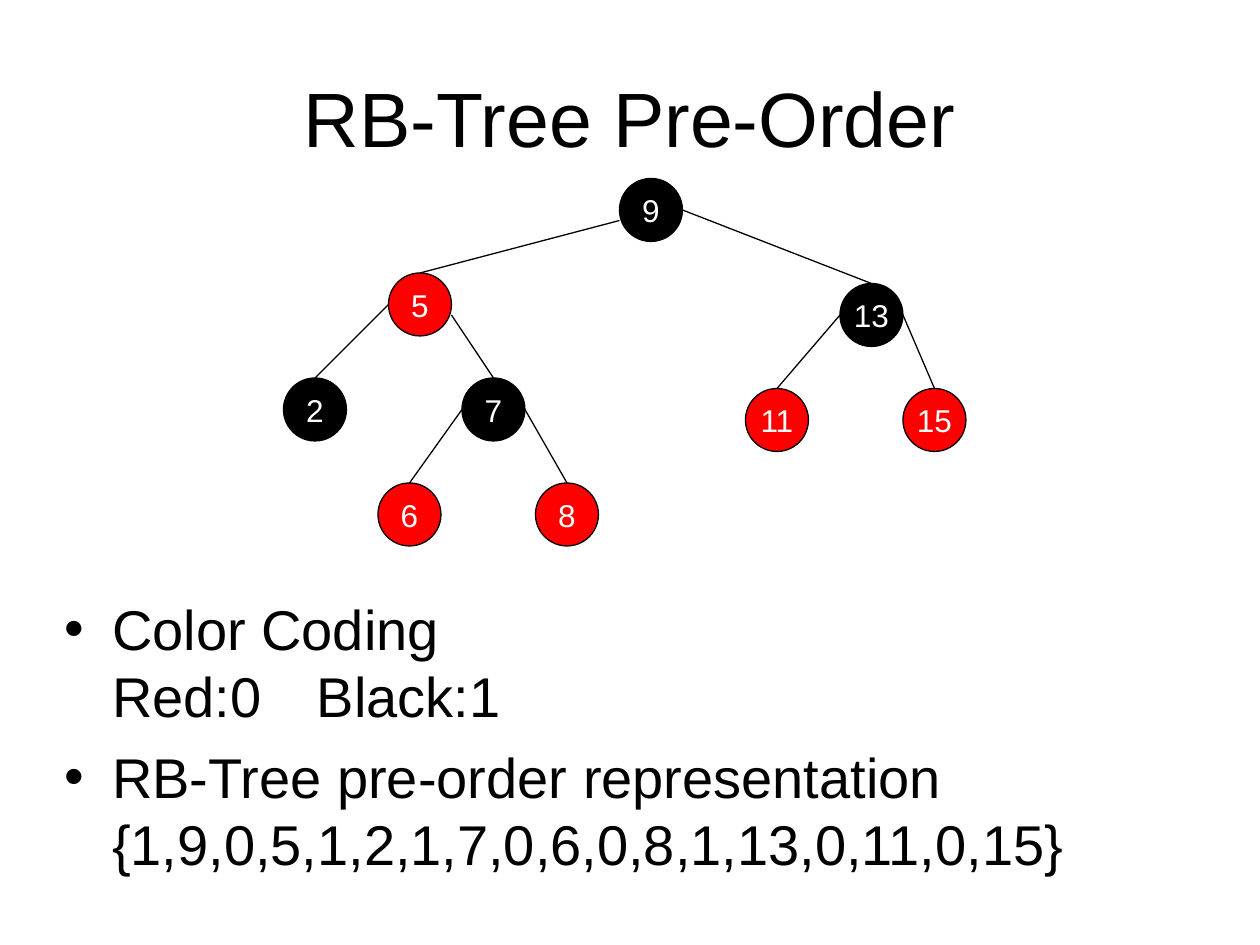
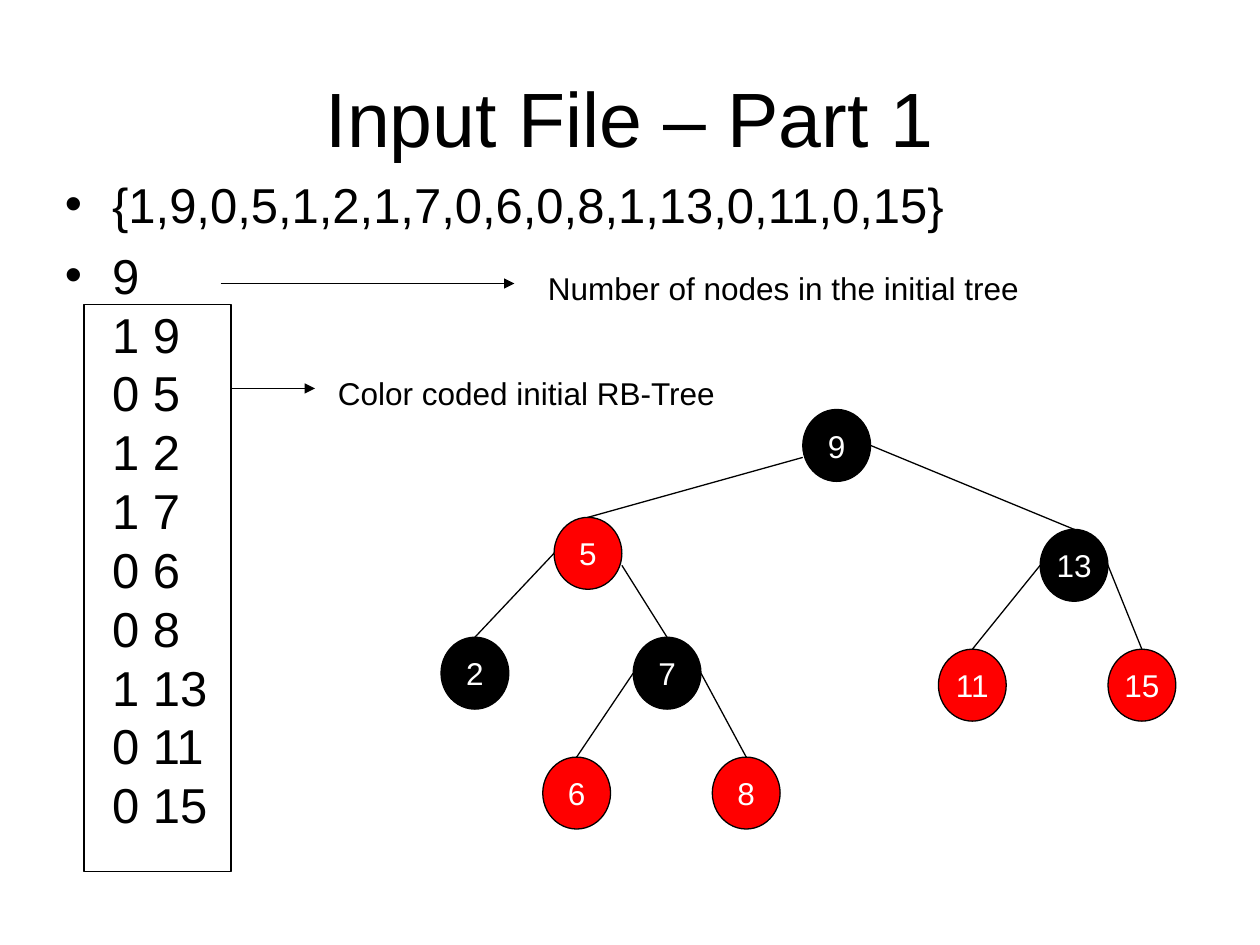
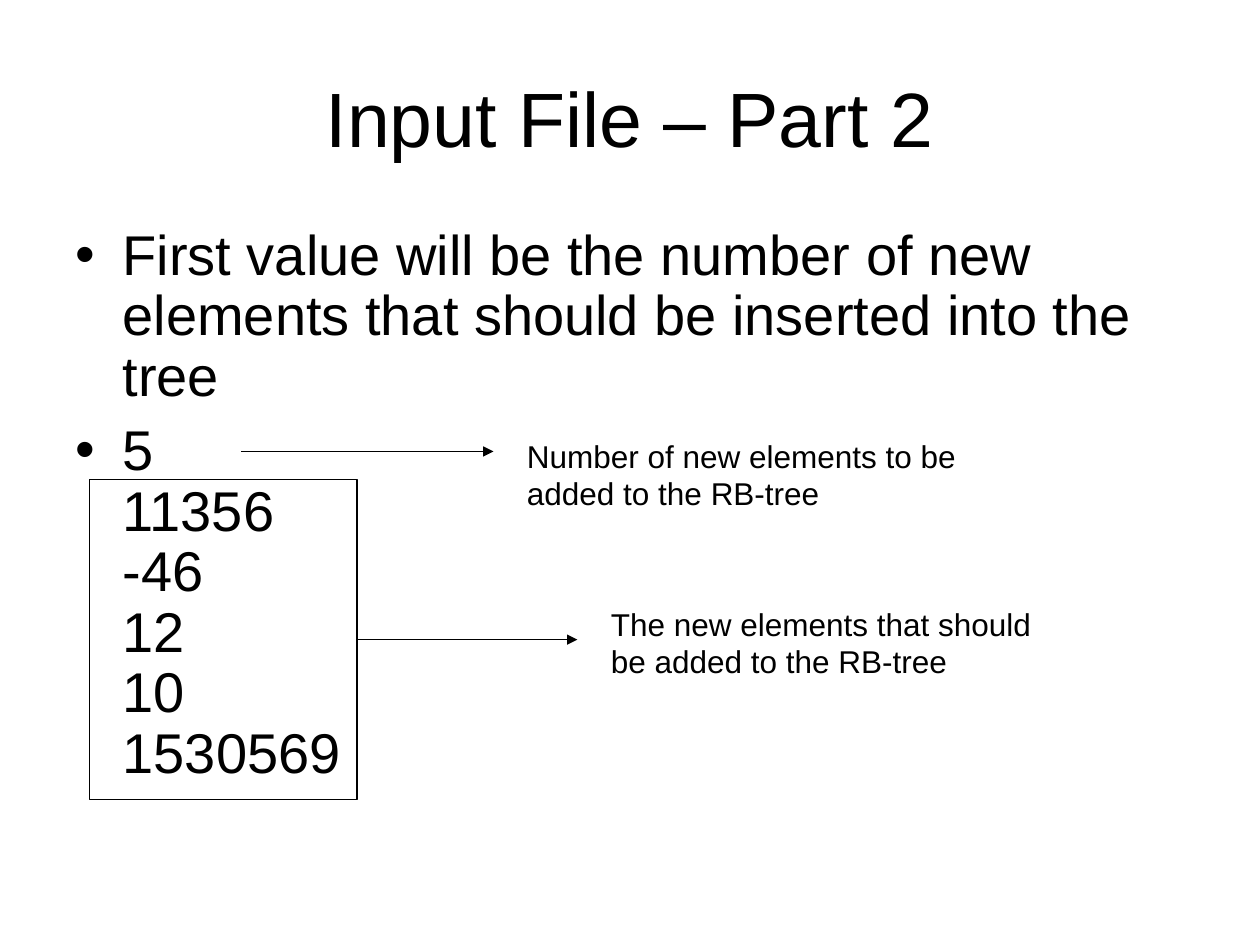
from dataclasses import dataclass
from typing import NamedTuple

from lxml import etree
from pptx import Presentation
from pptx.dml.color import RGBColor
from pptx.enum.shapes import MSO_CONNECTOR, MSO_SHAPE
from pptx.enum.text import MSO_ANCHOR, MSO_AUTO_SIZE, PP_ALIGN
from pptx.oxml.ns import qn
from pptx.util import Pt

OVAL, RECT = MSO_SHAPE.OVAL, MSO_SHAPE.RECTANGLE
LINE = MSO_CONNECTOR.STRAIGHT
MIDDLE, CENTER = MSO_ANCHOR.MIDDLE, PP_ALIGN.CENTER
NO_FIT = MSO_AUTO_SIZE.NONE
TITLE_ONLY = 5
TOP, RIGHT = 0, 3


@dataclass(frozen=True)
class Theme:
    font: str = "Arial"
    black: RGBColor = RGBColor(0, 0, 0)
    red: RGBColor = RGBColor(255, 0, 0)
    white: RGBColor = RGBColor(255, 255, 255)
    title: float = 44
    body: float = 32
    dense: float = 28
    label: float = 18
    stroke: float = 0.75
    indent: float = 27
    tab: float = 144


THEME = Theme()


class Box(NamedTuple):
    left: float
    top: float
    width: float
    height: float


class Node(NamedTuple):
    value: int
    col: int
    row: int
    color: RGBColor
    parent: int = 0
    drop: int = 0


class Frame(NamedTuple):
    left: float
    top: float
    dx: float
    dy: float


class Arrow(NamedTuple):
    start: float
    end: float
    y: float


class Note(NamedTuple):
    box: Box
    text: str


TITLE_BOX = Box(36, 21.6, 648, 90)
SIZE = 6
NODES = [
    Node(9, 32, 0, THEME.black),
    Node(5, 10, 9, THEME.red, 9, 1),
    Node(13, 53, 10, THEME.black, 9),
    Node(2, 0, 19, THEME.black, 5),
    Node(7, 17, 19, THEME.black, 5, 1),
    Node(15, 59, 20, THEME.red, 13),
    Node(8, 24, 29, THEME.red, 7),
    Node(6, 9, 29, THEME.red, 7),
    Node(11, 44, 20, THEME.red, 13),
]
CODE = "{1,9,0,5,1,2,1,7,0,6,0,8,1,13,0,11,0,15}"


def style(para, size: float, color: RGBColor = THEME.black) -> None:
    para.font.name = THEME.font
    para.font.size = Pt(size)
    para.font.color.rgb = color


def start(deck, title: str):
    slide = deck.slides.add_slide(deck.slide_layouts[TITLE_ONLY])
    head = slide.shapes.title
    head.left, head.top, head.width, head.height = map(Pt, TITLE_BOX)
    frame = head.text_frame
    frame.text = title
    frame.auto_size = NO_FIT
    frame.vertical_anchor = MIDDLE
    para = frame.paragraphs[0]
    para.alignment = CENTER
    style(para, THEME.title)
    return slide


def add_text(slide, box: Box):
    frame = slide.shapes.add_textbox(*map(Pt, box)).text_frame
    frame.word_wrap = True
    return frame


def add_list(slide, box: Box, items: list[str], size: float,
             gap: float = 8, pitch: float = 1) -> None:
    frame = add_text(slide, box)
    for i, item in enumerate(items):
        para = frame.add_paragraph() if i else frame.paragraphs[0]
        para.text = item
        props = para._p.get_or_add_pPr()
        props.set("marL", str(Pt(THEME.indent)))
        props.set("indent", str(-Pt(THEME.indent)))
        etree.SubElement(props, qn("a:buFont"), typeface=THEME.font)
        etree.SubElement(props, qn("a:buChar"), char="•")
        tabs = etree.SubElement(props, qn("a:tabLst"))
        etree.SubElement(tabs, qn("a:tab"), pos=str(Pt(THEME.tab)), algn="l")
        para.space_before = Pt(gap)
        para.line_spacing = pitch
        style(para, size)


def add_note(slide, note: Note) -> None:
    para = add_text(slide, note.box).paragraphs[0]
    para.text = note.text
    style(para, THEME.label)


def outline(shape) -> None:
    shape.line.color.rgb = THEME.black
    shape.line.width = Pt(THEME.stroke)


def add_line(shapes, x1: float, y1: float, x2: float, y2: float):
    line = shapes.add_connector(LINE, Pt(x1), Pt(y1), Pt(x2), Pt(y2))
    outline(line)
    etree.SubElement(line._element.spPr, qn("a:effectLst"))
    return line


def add_arrow(slide, arrow: Arrow):
    line = add_line(slide.shapes, arrow.start, arrow.y, arrow.end, arrow.y)
    stroke = line._element.spPr.find(qn("a:ln"))
    etree.SubElement(stroke, qn("a:tailEnd"), type="triangle")
    return line


def add_frame(slide, box: Box):
    shape = slide.shapes.add_shape(RECT, *map(Pt, box))
    shape.shadow.inherit = False
    shape.fill.background()
    outline(shape)
    return shape


def add_node(shapes, node: Node, box: Box):
    shape = shapes.add_shape(OVAL, *map(Pt, box))
    shape.shadow.inherit = False
    shape.fill.solid()
    shape.fill.fore_color.rgb = node.color
    outline(shape)
    frame = shape.text_frame
    frame.word_wrap = False
    frame.vertical_anchor = MIDDLE
    para = frame.paragraphs[0]
    para.text = str(node.value)
    para.alignment = CENTER
    style(para, THEME.label, THEME.white)
    return shape


def add_tree(shapes, area: Frame) -> None:
    boxes: dict[int, Box] = {}
    for node in NODES:
        box = Box(area.left + node.col * area.dx, area.top + node.row * area.dy,
                  SIZE * area.dx, SIZE * area.dy)
        boxes[node.value] = box
        shape = add_node(shapes, node, box)
        if node.parent:
            above = boxes[node.parent]
            side = above.left + (above.width if node.value > node.parent else 0)
            y = above.top + above.height / 2 + node.drop * area.dy
            line = add_line(shapes, side, y, box.left + box.width / 2, box.top)
            line.end_connect(shape, TOP)


def add_order(deck) -> None:
    slide = start(deck, "RB-Tree Pre-Order")
    add_list(slide, Box(30, 336, 654, 186),
             ["Color Coding\nRed:0\tBlack:1",
              f"RB-Tree pre-order representation\n{CODE}"], THEME.body)
    add_tree(slide.shapes, Frame(162, 102, 6, 6))


def add_first(deck) -> None:
    slide = start(deck, "Input File – Part 1")
    rows = "9\n1 9\n0 5\n1 2\n1 7\n0 6\n0 8\n1 13\n0 11\n0 15"
    add_list(slide, Box(30, 96, 654, 426), [CODE, rows], THEME.dense, gap=7)
    add_tree(slide.shapes.add_group_shape().shapes, Frame(252, 234, 6.46, 6.85))
    add_frame(slide, Box(48, 174, 84, 324))
    for arrow in (Arrow(126, 294, 162), Arrow(132, 180, 222)):
        add_arrow(slide, arrow)
    for note in (
        Note(Box(306, 150, 336, 29), "Number of nodes in the initial tree"),
        Note(Box(186, 210, 288, 29), "Color coded initial RB-Tree"),
    ):
        add_note(slide, note)


def add_second(deck) -> None:
    slide = start(deck, "Input File – Part 2")
    add_list(slide, Box(36, 126, 648, 356),
             ["First value will be the number of new elements that should be "
              "inserted into the tree",
              "5\n11356\n-46\n12\n10\n1530569"], THEME.body, pitch=0.9)
    add_arrow(slide, Arrow(138, 282, 258))
    frame = add_frame(slide, Box(51, 274, 153, 183))
    add_arrow(slide, Arrow(204, 330, 365.5)).begin_connect(frame, RIGHT)
    for note in (
        Note(Box(294, 246, 270, 50),
             "Number of new elements to be added to the RB-tree"),
        Note(Box(342, 342, 270, 50),
             "The new elements that should be added to the RB-tree"),
    ):
        add_note(slide, note)


def main() -> None:
    deck = Presentation()
    deck.slide_width, deck.slide_height = Pt(720), Pt(540)
    add_order(deck)
    add_first(deck)
    add_second(deck)
    deck.save("out.pptx")


if __name__ == "__main__":
    main()
